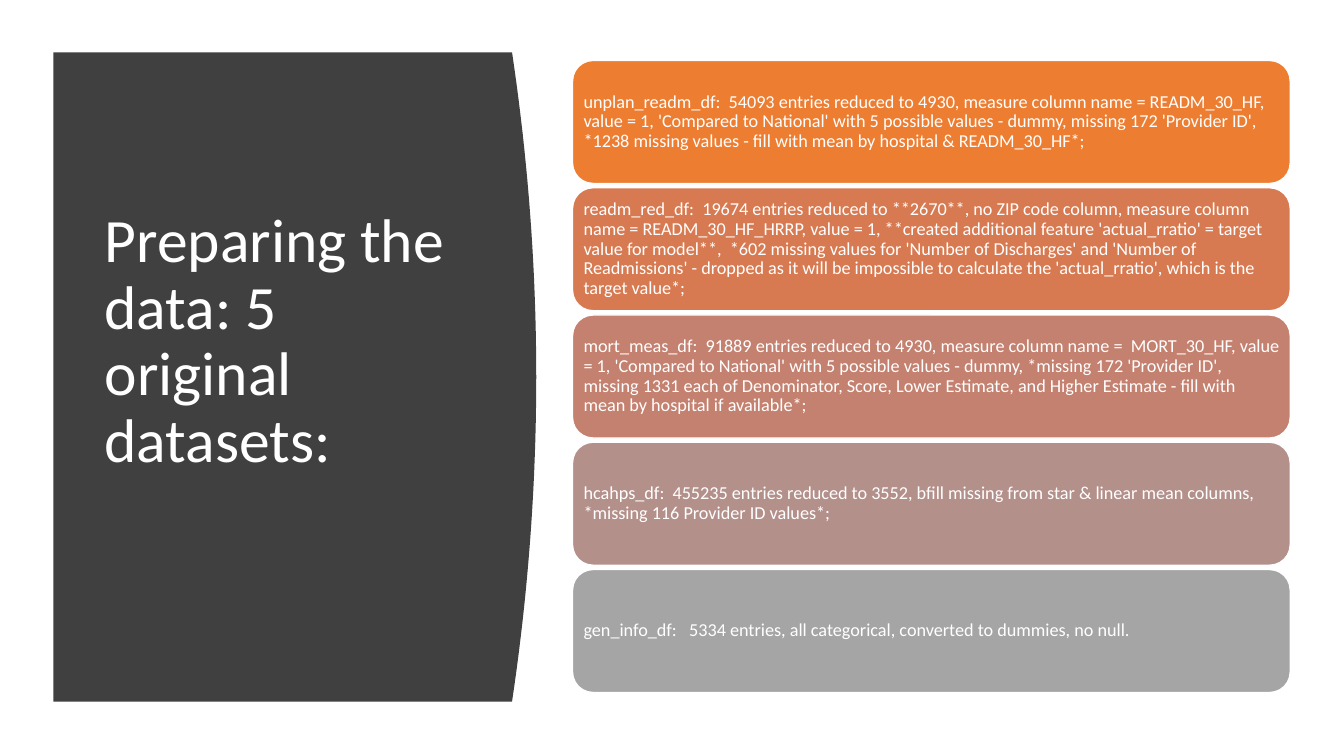
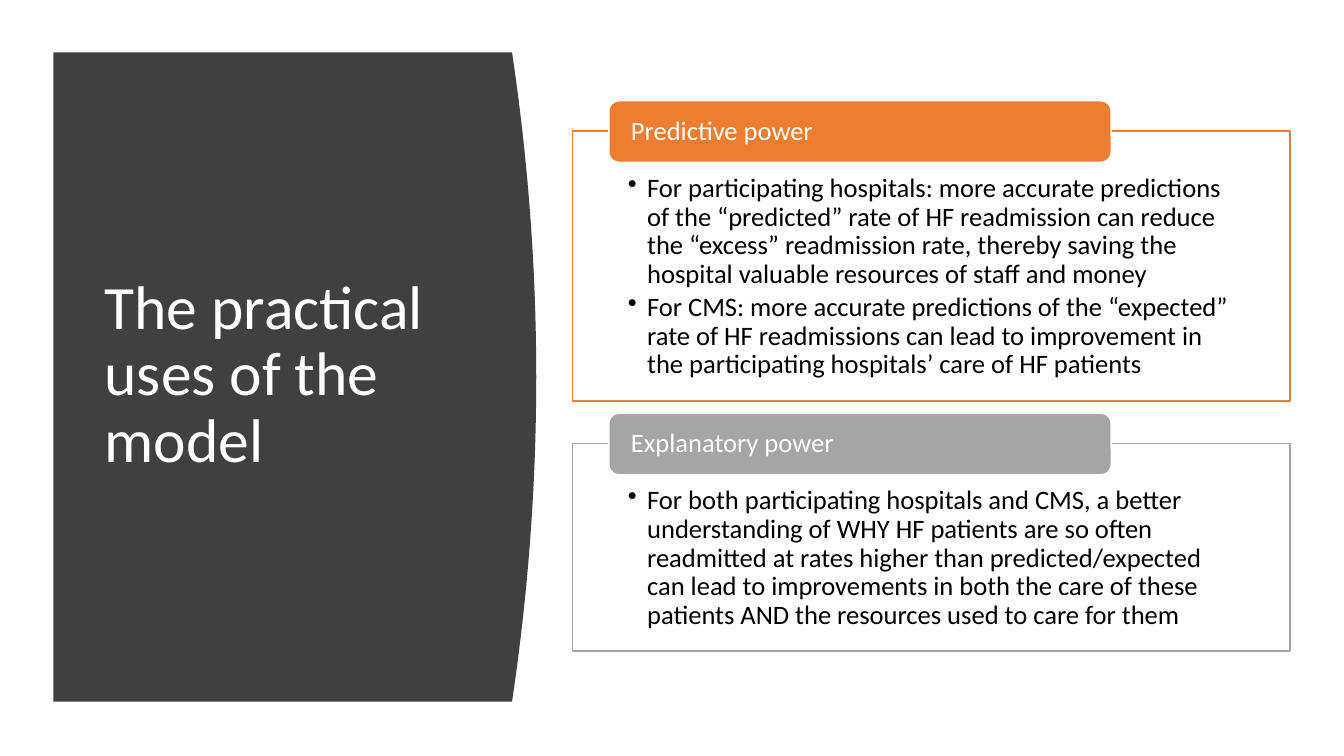
import pptx
import pptx.util
import pptx.dml.color
import pptx.enum.shapes
import pptx.enum.text
import pptx.oxml
import pptx.oxml.ns
from collections import namedtuple
from dataclasses import dataclass

Box = namedtuple("Box", "x y w h")
SHAPE = pptx.enum.shapes.MSO_SHAPE
ANCHOR = pptx.enum.text.MSO_ANCHOR
EMU_PER_PX = 9144  # 100 px to the inch


@dataclass(frozen=True)
class Theme:
    font: str = "Calibri"
    title_size: int = 44
    card_size: int = 13
    body_size: int = 19
    line_spacing: float = 0.9
    white: str = "FFFFFF"
    black: str = "000000"
    band: str = "404040"
    orange: str = "ED7D31"
    grey: str = "A5A5A5"
    ramp: tuple = ("ED7D31", "D87A51", "C48170", "B4908B", "A5A5A5")


THEME = Theme()
BAND = Box(53, 52, 479, 644)
CARDS = Box(568, 60, 712, 627)
PANELS = Box(568, 100, 712, 547)

DATASETS = [
    "unplan_readm_df:  54093 entries reduced to 4930, measure column name = READM_30_HF, "
    "value = 1, 'Compared to National' with 5 possible values - dummy, missing 172 "
    "'Provider ID', *1238 missing values - fill with mean by hospital & READM_30_HF*;",
    "readm_red_df:  19674 entries reduced to **2670**, no ZIP code column, measure column "
    "name = READM_30_HF_HRRP, value = 1, **created additional feature 'actual_rratio' = "
    "target value for model**,  *602 missing values for 'Number of Discharges' and 'Number "
    "of Readmissions' - dropped as it will be impossible to calculate the 'actual_rratio', "
    "which is the target value*;",
    "mort_meas_df:  91889 entries reduced to 4930, measure column name =  MORT_30_HF, "
    "value = 1, 'Compared to National' with 5 possible values - dummy, *missing 172 "
    "'Provider ID', missing 1331 each of Denominator, Score, Lower Estimate, and Higher "
    "Estimate - fill with mean by hospital if available*;",
    "hcahps_df:  455235 entries reduced to 3552, bfill missing from star & linear mean "
    "columns, *missing 116 Provider ID values*;",
    "gen_info_df:   5334 entries, all categorical, converted to dummies, no null.",
]

# Heading, colour, panel height, bullets
USES = [
    ("Predictive power", THEME.orange, 268, [
        "For participating hospitals: more accurate predictions of the “predicted” rate of "
        "HF readmission can reduce the “excess” readmission rate, thereby saving the "
        "hospital valuable resources of staff and money",
        "For CMS: more accurate predictions of the “expected” rate of HF readmissions can "
        "lead to improvement in the participating hospitals’ care of HF patients",
    ]),
    ("Explanatory power", THEME.grey, 206, [
        "For both participating hospitals and CMS, a better understanding of WHY HF "
        "patients are so often readmitted at rates higher than predicted/expected can lead "
        "to improvements in both the care of these patients AND the resources used to care "
        "for them",
    ]),
]


# Shared helpers
def px(n):
    return pptx.util.Emu(round(n * EMU_PER_PX))


def rgb(color):
    return pptx.dml.color.RGBColor.from_string(color)


def paint(sp, fill, line=None):
    sp.shadow.inherit = False
    sp.fill.solid()
    sp.fill.fore_color.rgb = rgb(fill)
    if line:
        sp.line.color.rgb = rgb(line)
        sp.line.width = pptx.util.Pt(1)
    else:
        sp.line.fill.background()


def add_box(slide, kind, box, fill, line):
    sp = slide.shapes.add_shape(kind, *map(px, box))
    paint(sp, fill, line)
    return sp


def set_bullet(p, indent):
    pPr = p._p.get_or_add_pPr()
    pPr.set("marL", str(px(indent)))
    pPr.set("indent", str(-px(indent)))
    bu = pptx.oxml.parse_xml(
        '<a:buChar %s char="•"/>' % pptx.oxml.ns.nsdecls("a"))
    pPr.append(bu)


def write(sp, texts, size, color, insets, anchor=ANCHOR.MIDDLE, bullets=False):
    tf = sp.text_frame
    tf.word_wrap = True
    tf.vertical_anchor = anchor
    tf.margin_left, tf.margin_top, tf.margin_right, tf.margin_bottom = map(px, insets)
    for i, text in enumerate(texts):
        p = tf.paragraphs[0] if i == 0 else tf.add_paragraph()
        p.alignment = pptx.enum.text.PP_ALIGN.LEFT
        p.line_spacing = THEME.line_spacing
        if bullets:
            p.space_after = pptx.util.Pt(3)
            set_bullet(p, 19)
        r = p.add_run()
        r.text = text
        r.font.name = THEME.font
        r.font.size = pptx.util.Pt(size)
        r.font.color.rgb = rgb(color)


# Dark band with a bowed right edge, holding the title
def add_title_band(slide, box, title, lift=0):
    bulge, steps = 24, 40
    edge = box.x + box.w - bulge
    curve = []
    for i in range(steps + 1):
        t = i / steps
        curve.append((px(edge + 4 * bulge * t * (1 - t)), px(box.y + box.h * t)))
    fb = slide.shapes.build_freeform(px(box.x), px(box.y))
    fb.add_line_segments(curve + [(px(box.x), px(box.y + box.h))], close=True)
    paint(fb.convert_to_shape(), THEME.band)

    sp = slide.shapes.add_textbox(
        px(box.x + 41), px(box.y + 59), px(box.w - 105), px(box.h - 120))
    write(sp, [title], THEME.title_size, THEME.white, (10, 5, 10, 5 + 2 * lift))


# Equal cards stacked over the full height of the box
def add_cards(slide, box, texts):
    height = 122
    pitch = (box.h - height) / (len(texts) - 1)
    for i, (text, color) in enumerate(zip(texts, THEME.ramp)):
        card = Box(box.x, box.y + i * pitch, box.w, height)
        sp = add_box(slide, SHAPE.ROUNDED_RECTANGLE, card, color, THEME.white)
        write(sp, [text], THEME.card_size, THEME.white, (5, 5, 5, 5))


# Outlined panels, each with a heading tab over its top edge
def add_panels(slide, box, panels):
    tab_height, overlap, gap = 61, 30, 12
    y = box.y
    for heading, color, height, bullets in panels:
        panel = Box(box.x, y + overlap, box.w, height)
        sp = add_box(slide, SHAPE.RECTANGLE, panel, THEME.white, color)
        write(sp, bullets, THEME.body_size, THEME.black, (55, 43, 55, 15),
              ANCHOR.TOP, bullets=True)
        tab = Box(box.x + 36, y, box.w * 0.7, tab_height)
        sp = add_box(slide, SHAPE.ROUNDED_RECTANGLE, tab, color, THEME.white)
        write(sp, [heading], THEME.body_size, THEME.white, (19, 0, 19, 0))
        y += overlap + height + gap


def main():
    prs = pptx.Presentation()
    prs.slide_width = pptx.util.Emu(12192000)
    prs.slide_height = px(750)
    blank = prs.slide_layouts[6]

    # Datasets
    s = prs.slides.add_slide(blank)
    add_title_band(s, BAND, "Preparing the data: 5 original datasets:", lift=33)
    add_cards(s, CARDS, DATASETS)

    # Uses of the model
    s = prs.slides.add_slide(blank)
    add_title_band(s, BAND, "The practical uses of the model")
    add_panels(s, PANELS, USES)

    prs.save("out.pptx")


if __name__ == "__main__":
    main()
